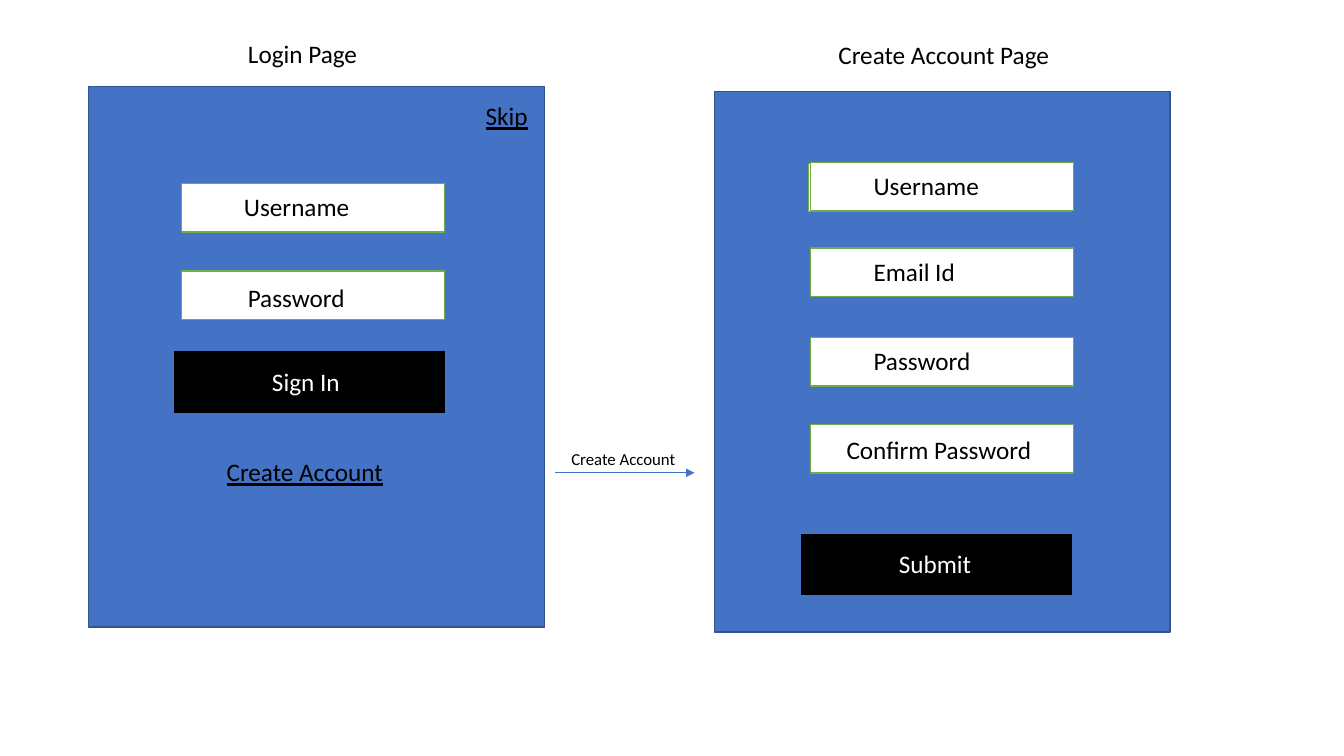
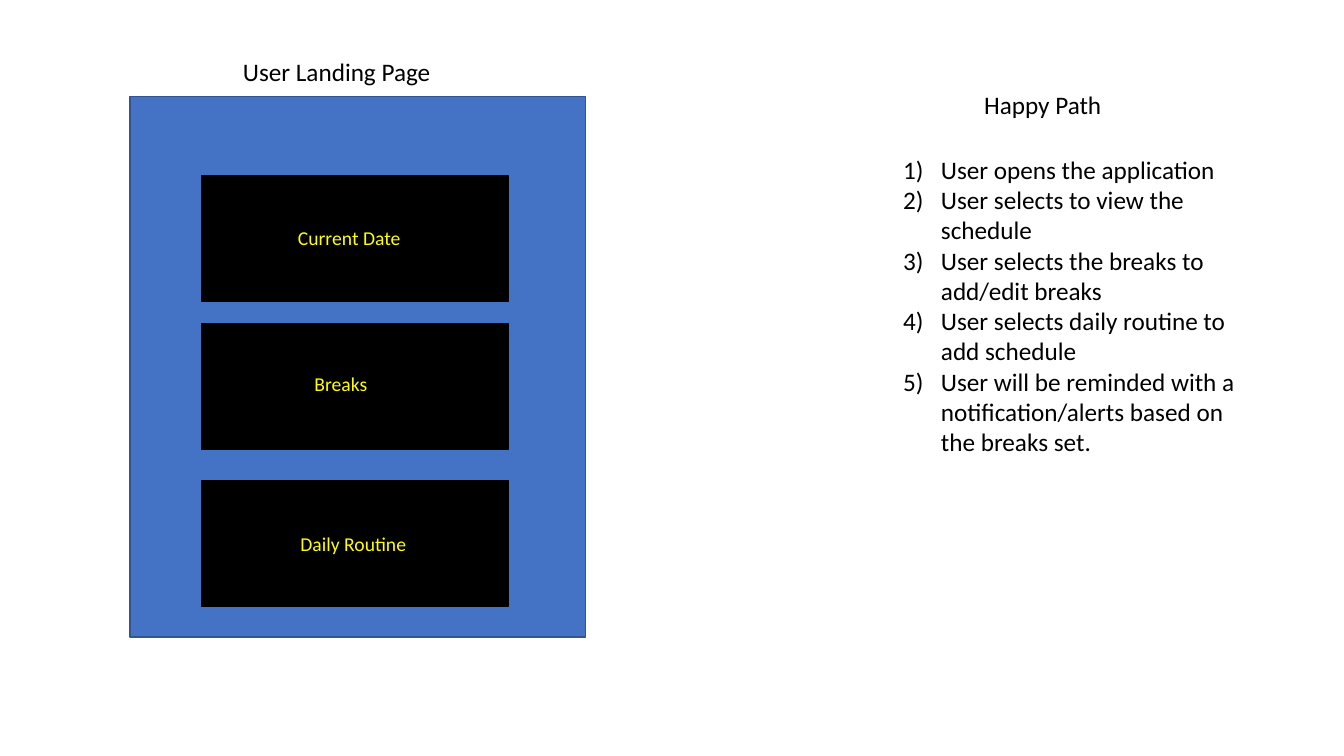
from lxml import etree
from pptx import Presentation
from pptx.dml.color import RGBColor
from pptx.enum import shapes, text
from pptx.oxml import ns
from pptx.util import Pt

# Colours and shared sizes, in points
PANEL_BLUE = RGBColor(0x44, 0x72, 0xC4)
PANEL_EDGE = RGBColor(0x32, 0x54, 0x91)
GREEN = RGBColor(0x70, 0xAD, 0x47)
BLACK = RGBColor(0, 0, 0)
WHITE = RGBColor(255, 255, 255)
YELLOW = RGBColor(255, 255, 0)
FONT = "Calibri"
PANEL_SIZE = (325.4, 386)
FIELD_SIZE = (188, 34.6)
BUTTON_SIZE = (193, 43.2)
TILE_SIZE = (219, 90)
LABEL_HEIGHT = 29
LABEL_WIDTH = 196.6
LIST_INDENT = 27

# Content of the login slide
# Each form: panel corner, field left, fields (name, top, label offset)
FORMS = [
    ((63.4, 61.9), 129.6, [
        ("Username", 131, (37.6, 2.2)),
        ("Password", 193.7, (40.3, 4.3)),
    ]),
    ((510.5, 65.5), 578.9, [
        ("Username", 115.9, (38, 2.2)),
        ("Email Id", 177.1, (38, 2.2)),
        ("Password", 241.2, (38, 2.2)),
        ("Confirm Password", 303.1, (18.7, 3.6)),
    ]),
]
FIELD_BACKING = (577.4, 116.6)
BUTTONS = [("Sign In", 124.6, 251.3), ("Submit", 572.4, 381.6)]
LINKS = [("Create Account", 154.8, 322.6, 126.7), ("Skip", 339.8, 68.4, 48.2)]
LOGIN_TITLE = ("Login Page", (169.9, 23.8, 139, LABEL_HEIGHT))
ACCOUNT_TITLE = ("Create Account Page", (591.8, 24.5, 180, LABEL_HEIGHT))
ARROW = (396.7, 496.1, 337.7)
ARROW_LABEL = ("Create Account", (401, 316.8, 95.8, 21.8))

# Content of the landing slide
LANDING_PANEL = (92.9, 69.1)
LANDING_TITLE = ("User Landing Page", (166.3, 36.7, 183.6, LABEL_HEIGHT))
TILE_LEFT = 144
# Each tile: name, top, label left, label offset down, label width
TILES = [
    ("Current Date", 125.3, 205.2, 32.4, 88.6),
    ("Breaks", 231.1, 196.7, 31, 93.6),
    ("Daily Routine", 343.4, 205.2, 33.1, 94.3),
]
STEPS_TITLE = ("Happy Path", (627.8, 60.5, 234, LABEL_HEIGHT))
STEPS_AREA = (637.9, 106.6, 252, 247)
STEPS = [
    "User opens the application",
    "User selects to view the schedule",
    "User selects the breaks to add/edit breaks",
    "User selects daily routine to add schedule",
    "User will be reminded with a notification/alerts based on the breaks set.",
]


def place(box, area):
    box.left, box.top, box.width, box.height = [Pt(value) for value in area]


def write(box, lines, size=18, colour=BLACK, centred=False, underline=None):
    frame = box.text_frame
    frame.text = "\n".join(lines)
    frame.word_wrap = True
    frame.auto_size = text.MSO_AUTO_SIZE.NONE
    frame.vertical_anchor = text.MSO_ANCHOR.TOP
    for para in frame.paragraphs:
        para.alignment = text.PP_ALIGN.CENTER if centred else text.PP_ALIGN.LEFT
        para.space_before = Pt(0)
        for span in para.runs:
            span.font.name = FONT
            span.font.size = Pt(size)
            span.font.color.rgb = colour
            span.font.underline = underline


def add_label(page, words, area, **style):
    box = page.shapes.add_textbox(*[Pt(value) for value in area])
    write(box, [words], **style)


def add_block(page, corner, size, fill, edge, kind=shapes.MSO_SHAPE.RECTANGLE):
    block = page.shapes.add_shape(kind, *[Pt(value) for value in corner + size])
    block.shadow.inherit = False
    block.fill.solid()
    block.fill.fore_color.rgb = fill
    block.line.color.rgb = edge
    block.line.width = Pt(1)


def add_panel(page, corner):
    add_block(page, corner, PANEL_SIZE, PANEL_BLUE, PANEL_EDGE)


def add_field(page, corner):
    add_block(page, corner, FIELD_SIZE, WHITE, GREEN,
              shapes.MSO_SHAPE.FLOWCHART_PROCESS)


def add_title(page, words, area):
    place(page.shapes.title, area)
    write(page.shapes.title, [words])


def add_arrow(page, start, end, level):
    arrow = page.shapes.add_connector(
        shapes.MSO_CONNECTOR.STRAIGHT, Pt(start), Pt(level), Pt(end), Pt(level))
    arrow.line.color.rgb = PANEL_BLUE
    arrow.line.width = Pt(0.5)
    etree.SubElement(arrow.line._get_or_add_ln(), ns.qn("a:tailEnd"), type="triangle")
    etree.SubElement(arrow._element.spPr, ns.qn("a:effectLst"))


def number_list(box):
    for para in box.text_frame.paragraphs:
        properties = para._p.get_or_add_pPr()
        properties.set("marL", str(Pt(LIST_INDENT)))
        properties.set("indent", str(-Pt(LIST_INDENT)))
        etree.SubElement(properties, ns.qn("a:buAutoNum"), type="arabicParenR")


deck = Presentation()
deck.slide_width, deck.slide_height = Pt(960), Pt(540)

# Login and account forms
page = deck.slides.add_slide(deck.slide_layouts[5])
add_title(page, *LOGIN_TITLE)
add_label(page, *ACCOUNT_TITLE)
for corner, left, fields in FORMS:
    add_panel(page, corner)
    if corner == FORMS[-1][0]:
        add_field(page, FIELD_BACKING)
    for name, top, (across, down) in fields:
        add_field(page, (left, top))
        add_label(page, name, (left + across, top + down, LABEL_WIDTH, LABEL_HEIGHT))
for name, left, top in BUTTONS:
    add_block(page, (left, top), BUTTON_SIZE, BLACK, BLACK)
    add_label(page, name, (left + 62.6, top + 6.8, 67.7, LABEL_HEIGHT), colour=WHITE)
for name, left, top, width in LINKS:
    add_label(page, name, (left, top, width, LABEL_HEIGHT), underline=True)
add_arrow(page, *ARROW)
add_label(page, *ARROW_LABEL, size=12)

# Landing page and its steps
page = deck.slides.add_slide(deck.slide_layouts[1])
add_title(page, *LANDING_TITLE)
add_panel(page, LANDING_PANEL)
for name, top, left, down, width in TILES:
    add_block(page, (TILE_LEFT, top), TILE_SIZE, BLACK, BLACK)
    add_label(page, name, (left, top + down, width, 24.5),
              size=14, colour=YELLOW, centred=True)
add_label(page, *STEPS_TITLE, centred=True)
steps = page.placeholders[1]
place(steps, STEPS_AREA)
write(steps, STEPS)
number_list(steps)

deck.save("out.pptx")
